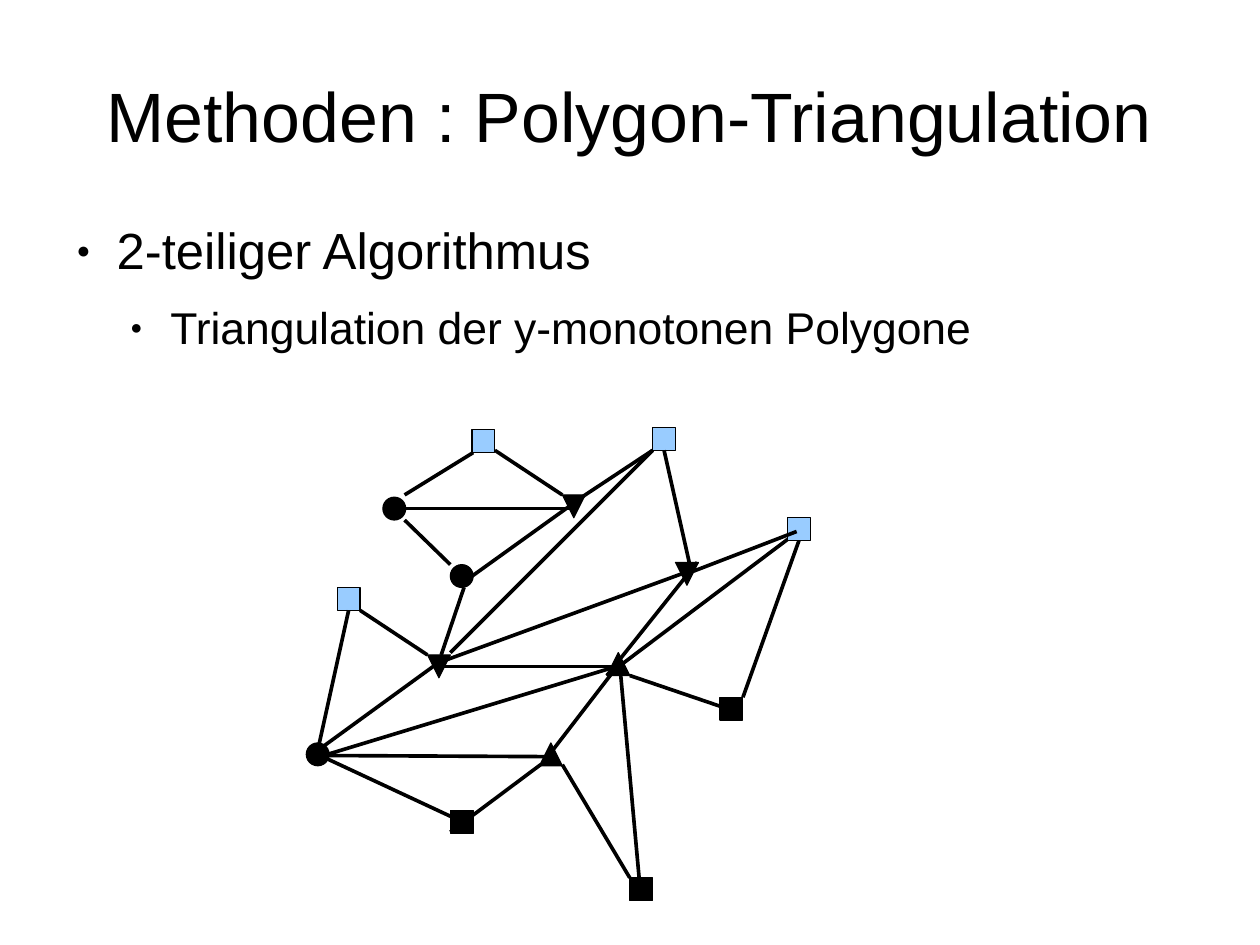
from pptx import Presentation
from pptx.dml.color import RGBColor
from pptx.enum.shapes import MSO_CONNECTOR as Link, MSO_SHAPE as Form
from pptx.enum.text import MSO_ANCHOR as Anchor, MSO_AUTO_SIZE as Fit, PP_ALIGN as Align
from pptx.util import Cm, Inches, Pt
from lxml.etree import SubElement
from pptx.oxml.ns import qn

BLACK = RGBColor(0x00, 0x00, 0x00)
BLUE = RGBColor(0x99, 0xCC, 0xFF)
FONT = "Arial"
UNIT = Inches(0.01)
SIZE = 20

KINDS = {
    "start": (Form.RECTANGLE, BLUE, 0),
    "end": (Form.RECTANGLE, BLACK, 0),
    "split": (Form.ISOSCELES_TRIANGLE, BLACK, 0),
    "merge": (Form.ISOSCELES_TRIANGLE, BLACK, 180),
    "plain": (Form.OVAL, BLACK, 0),
}
NODES = {
    "split": [(204, 276), (263, 197)],
    "merge": [(323, 118), (224, 59), (106, 199)],
    "end": [(283, 394), (126, 335), (362, 236)],
    "start": [(421, 79), (303, 0), (145, 2), (27, 140)],
    "plain": [(126, 120), (67, 61), (0, 276)],
}
EDGES = [
    (126, 354, 205, 295), (224, 295, 283, 394), (295, 414, 275, 216),
    (283, 217, 374, 248), (382, 236, 429, 98), (429, 91, 338, 126),
    (335, 118, 315, 20), (303, 20, 244, 59), (165, 20, 224, 59),
    (146, 22, 86, 59), (86, 81, 126, 120), (138, 140, 118, 199),
    (47, 160, 106, 199), (39, 160, 11, 278), (12, 287, 130, 342),
    (75, 71, 232, 71), (118, 205, 334, 126), (16, 287, 212, 288),
    (114, 209, 271, 209), (272, 209, 212, 287), (12, 288, 275, 208),
    (8, 284, 118, 204), (263, 217, 342, 118), (263, 217, 421, 98),
    (134, 138, 244, 59), (126, 197, 303, 20),
]
ITEMS = [
    ("2-teiliger Algorithmus", 32, 14.3),
    ("Triangulation der y-monotonen Polygone", 28, 11.4),
]


def style(para, size):
    para.line_spacing = 0.94
    para.font.name = FONT
    para.font.size = Pt(size)
    para.font.color.rgb = BLACK


def frame(shape, box, top):
    shape.left, shape.top, shape.width, shape.height = map(Inches, box)
    text = shape.text_frame
    text.word_wrap = True
    text.auto_size = Fit.NONE
    text.margin_left = text.margin_right = text.margin_bottom = 0
    text.margin_top = Inches(top)
    return text


def add_title(slide, box):
    text = frame(slide.shapes.title, box, 0.04)
    text.vertical_anchor = Anchor.MIDDLE
    para = text.paragraphs[0]
    para.text = "Methoden : Polygon-Triangulation"
    para.alignment = Align.CENTER
    style(para, 44)


def add_bullet(para, level):
    props = para._p.get_or_add_pPr()
    props.set("marL", str(Inches(0.47 * (level + 1))))
    props.set("indent", str(Inches(-0.35)))
    SubElement(props, qn("a:buSzPct")).set("val", "45000")
    SubElement(props, qn("a:buFont")).set("typeface", FONT)
    SubElement(props, qn("a:buChar")).set("char", "●")


def add_list(slide, box):
    text = frame(slide.shapes.add_textbox(0, 0, 0, 0), box, 0.03)
    for level, (words, size, after) in enumerate(ITEMS):
        para = text.add_paragraph() if level else text.paragraphs[0]
        para.text = words
        para.level = level
        add_bullet(para, level)
        para.space_after = Pt(after)
        style(para, size)


def add_node(slide, kind, x, y):
    form, fill, turn = KINDS[kind]
    node = slide.shapes.add_shape(form, x, y, SIZE * UNIT, SIZE * UNIT)
    node.shadow.inherit = False
    node.rotation = turn
    node.fill.solid()
    node.fill.fore_color.rgb = fill
    node.line.color.rgb = BLACK
    node.line.width = Pt(0.75)
    return node


def add_edge(slide, ends, rects):
    edge = slide.shapes.add_connector(Link.STRAIGHT, *ends)
    edge.line.color.rgb = BLACK
    edge.line.width = Pt(2.3)
    SubElement(edge._element.spPr, qn("a:effectLst"))
    for join, x, y in ((edge.begin_connect, *ends[:2]), (edge.end_connect, *ends[2:])):
        for rect in rects:
            mid, base = rect.left + rect.width // 2, rect.top + rect.height
            if max(abs(x - mid), abs(y - base)) < 3 * UNIT:
                join(rect, 2)


def add_graph(slide, left, top):
    x0, y0 = Inches(left), Inches(top)
    rects = []
    for kind, spots in NODES.items():
        for x, y in spots:
            node = add_node(slide, kind, x0 + x * UNIT, y0 + y * UNIT)
            if KINDS[kind][0] == Form.RECTANGLE:
                rects.append(node)
    for x1, y1, x2, y2 in EDGES:
        ends = (x0 + x1 * UNIT, y0 + y1 * UNIT, x0 + x2 * UNIT, y0 + y2 * UNIT)
        add_edge(slide, ends, rects)


def main():
    deck = Presentation()
    deck.slide_width, deck.slide_height = Cm(28), Cm(21)
    slide = deck.slides.add_slide(deck.slide_layouts[5])
    add_title(slide, (0.55, 0.33, 9.92, 1.38))
    add_list(slide, (0.55, 1.93, 9.92, 5.46))
    add_graph(slide, 2.68, 3.74)
    deck.save("out.pptx")


if __name__ == "__main__":
    main()
